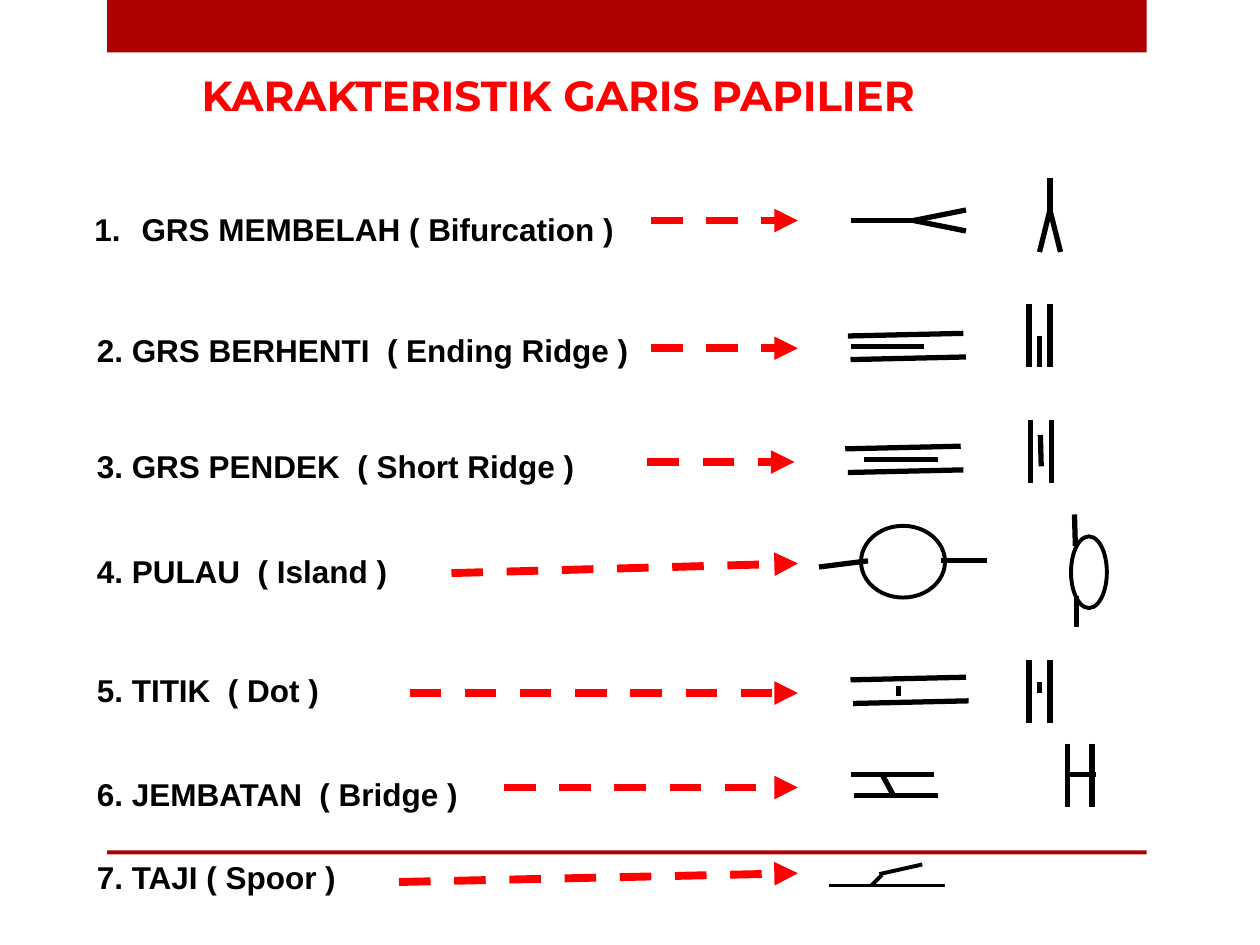
import pptx
import pptx.util
import pptx.dml.color
import pptx.enum.dml
import pptx.enum.shapes
import pptx.enum.text
import pptx.oxml
import pptx.oxml.ns
from lxml import etree

Pt = pptx.util.Pt
COLORS = {"bar": "AD0101", "title": "FF0000", "arrow": "FF0000", "ink": "000000"}
LABEL_LEFT, LABEL_HEIGHT = 48.24, 28.8
ARROW_RIGHT = 456

LABELS = [
    (185.76, 321.84, "2. GRS BERHENTI  ( Ending Ridge )"),
    (252, 290.16, "3. GRS PENDEK  ( Short Ridge )"),
    (311.76, 182.16, "4. PULAU  ( Island )"),
    (380.16, 142.56, "5. TITIK  ( Dot )"),
    (439.2, 223.2, "6. JEMBATAN  ( Bridge )"),
    (486.72, 152.64, "7. TAJI ( Spoor )"),
]
RIDGES = {
    "bifurcation": [
        (486, 126, 522, 126), (522, 126, 552, 120), (522, 126, 552, 132),
        (600, 102, 600, 120), (600, 120, 594, 144), (600, 120, 606, 144),
    ],
    "ending ridge": [
        (486, 198, 528, 198), (486, 205.5, 552, 204), (484.5, 192, 550.5, 190.5),
        (588, 174, 588, 210), (594, 192, 594, 210), (600, 174, 600, 210),
    ],
    "short ridge": [
        (494, 262.5, 536, 262.5), (484.5, 270, 550.5, 268.5), (483, 256.5, 549, 255),
        (589, 240, 589, 276), (594.5, 248.5, 595, 266.5), (601, 240, 601, 276),
    ],
    "island": [
        (468, 324, 496, 320.5), (538, 320.5, 564, 320.5),
        (614, 294, 614.5, 312), (615, 340.5, 615, 358.5),
    ],
    "dot": [
        (487.5, 402, 553.5, 400.5), (486, 388.5, 552, 387), (513.5, 398, 513.5, 392),
        (594, 396, 594, 390), (588, 377, 588, 413), (600, 377, 600, 413),
    ],
    "bridge": [
        (486, 442.5, 534, 442.5), (488, 454.5, 536, 454.5), (504, 442.5, 510.5, 454.5),
        (610, 425, 610, 461), (624, 425, 624, 461), (608.5, 442.5, 626.5, 442.5),
    ],
}
SPUR = [(474, 506, 540, 506), (498, 506, 504, 500), (502.5, 499.5, 527, 494)]
ISLANDS = [(492, 300.5, 48, 41), (612, 306.5, 20.5, 41)]
ARROWS = [
    (372, 126, ARROW_RIGHT, 126),
    (372, 199, ARROW_RIGHT, 199),
    (370, 264, 454, 264),
    (258, 327.5, ARROW_RIGHT, 322),
    (234, 396, ARROW_RIGHT, 396),
    (288, 450, ARROW_RIGHT, 450),
    (228, 504, ARROW_RIGHT, 499),
]


def rgb(name):
    return pptx.dml.color.RGBColor.from_string(COLORS[name])


def format_text(shape, text, size, font, color):
    frame = shape.text_frame
    frame.text = text
    frame.word_wrap = False
    frame.auto_size = pptx.enum.text.MSO_AUTO_SIZE.SHAPE_TO_FIT_TEXT
    frame.vertical_anchor = pptx.enum.text.MSO_ANCHOR.TOP
    paragraph = frame.paragraphs[0]
    paragraph.alignment = pptx.enum.text.PP_ALIGN.LEFT
    paragraph.font.size = Pt(size)
    paragraph.font.name = font
    paragraph.font.bold = True
    paragraph.font.color.rgb = rgb(color)
    return paragraph


def set_title(slide, text):
    title = slide.shapes.title
    title.left, title.top, title.width, title.height = Pt(108), Pt(36), Pt(468), Pt(36)
    format_text(title, text, 24, "Montserrat", "title")


def add_label(slide, left, top, width, text):
    box = slide.shapes.add_textbox(Pt(left), Pt(top), Pt(width), Pt(LABEL_HEIGHT))
    return format_text(box, text, 18, "Arial", "ink")


def number_paragraph(paragraph, indent):
    properties = paragraph._p.get_or_add_pPr()
    properties.set("marL", str(Pt(indent)))
    properties.set("indent", str(-Pt(indent)))
    number = pptx.oxml.parse_xml(
        f'<a:buAutoNum {pptx.oxml.ns.nsdecls("a")} type="arabicPeriod"/>'
    )
    properties.insert(0, number)


def add_bar(slide, top, height):
    bar = slide.shapes.add_shape(
        pptx.enum.shapes.MSO_SHAPE.RECTANGLE, Pt(61.2), Pt(top), Pt(594), Pt(height)
    )
    bar.shadow.inherit = False
    bar.fill.solid()
    bar.fill.fore_color.rgb = rgb("bar")
    bar.line.fill.background()


def add_island(slide, left, top, width, height):
    island = slide.shapes.add_shape(
        pptx.enum.shapes.MSO_SHAPE.OVAL, Pt(left), Pt(top), Pt(width), Pt(height)
    )
    island.shadow.inherit = False
    island.fill.background()
    island.line.color.rgb = rgb("ink")
    island.line.width = Pt(2.25)


def add_line(slide, ends, color="ink", weight=3):
    connector = slide.shapes.add_connector(
        pptx.enum.shapes.MSO_CONNECTOR.STRAIGHT, *(Pt(value) for value in ends)
    )
    connector.line.color.rgb = rgb(color)
    connector.line.width = Pt(weight)
    etree.SubElement(connector._element.spPr, pptx.oxml.ns.qn("a:effectLst"))
    return connector


def add_arrow(slide, ends):
    arrow = add_line(slide, ends, "arrow", 4.5)
    arrow.line.dash_style = pptx.enum.dml.MSO_LINE.DASH
    line = arrow.line._get_or_add_ln()
    etree.SubElement(line, pptx.oxml.ns.qn("a:tailEnd"), type="triangle")


def main():
    presentation = pptx.Presentation()
    presentation.slide_width, presentation.slide_height = Pt(720), Pt(540)
    slide = presentation.slides.add_slide(presentation.slide_layouts[5])

    add_bar(slide, 0, 30)
    add_bar(slide, 486, 2.2)
    set_title(slide, "KARAKTERISTIK GARIS PAPILIER")

    first = add_label(slide, 46.8, 116.64, 314.64, "GRS MEMBELAH ( Bifurcation )")
    number_paragraph(first, 27)
    for top, width, text in LABELS:
        add_label(slide, LABEL_LEFT, top, width, text)

    for island in ISLANDS:
        add_island(slide, *island)
    for strokes in RIDGES.values():
        for ends in strokes:
            add_line(slide, ends)
    for ends in SPUR:
        add_line(slide, ends, weight=2.25)
    for ends in ARROWS:
        add_arrow(slide, ends)

    presentation.save("out.pptx")


if __name__ == "__main__":
    main()
